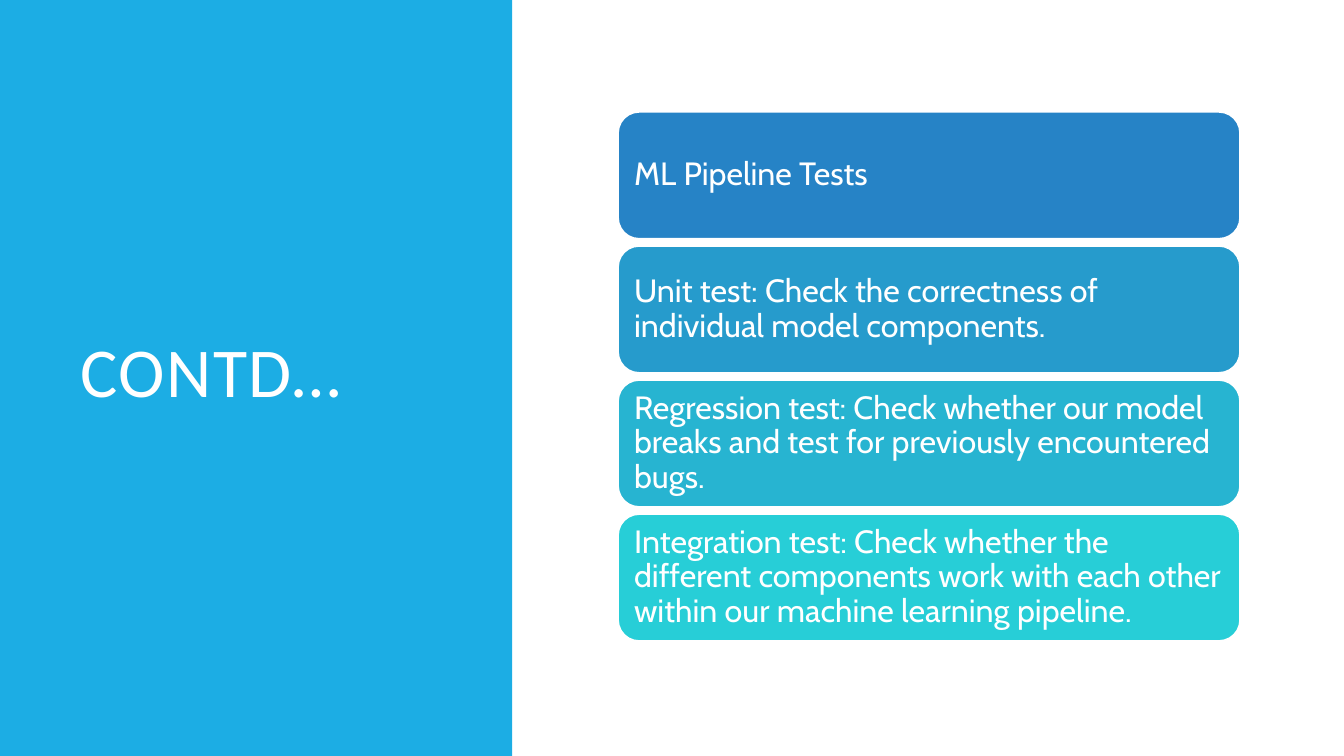
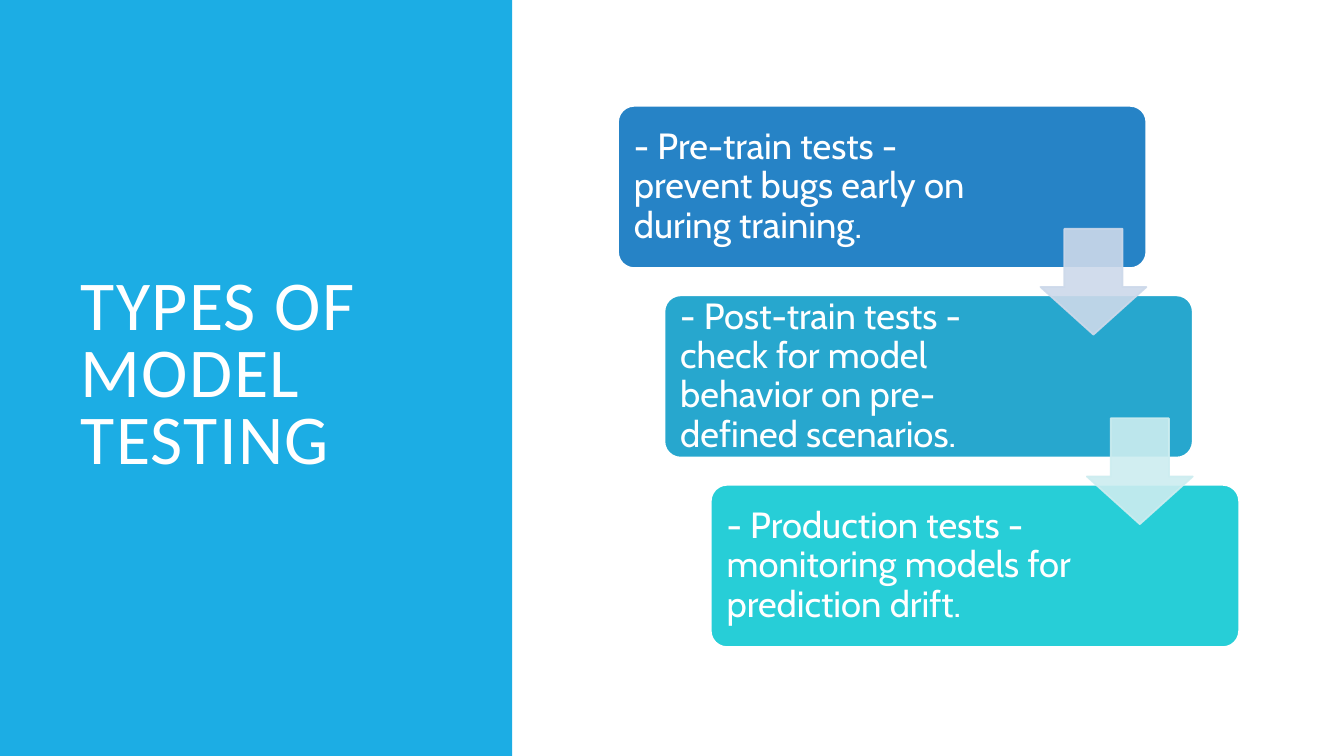
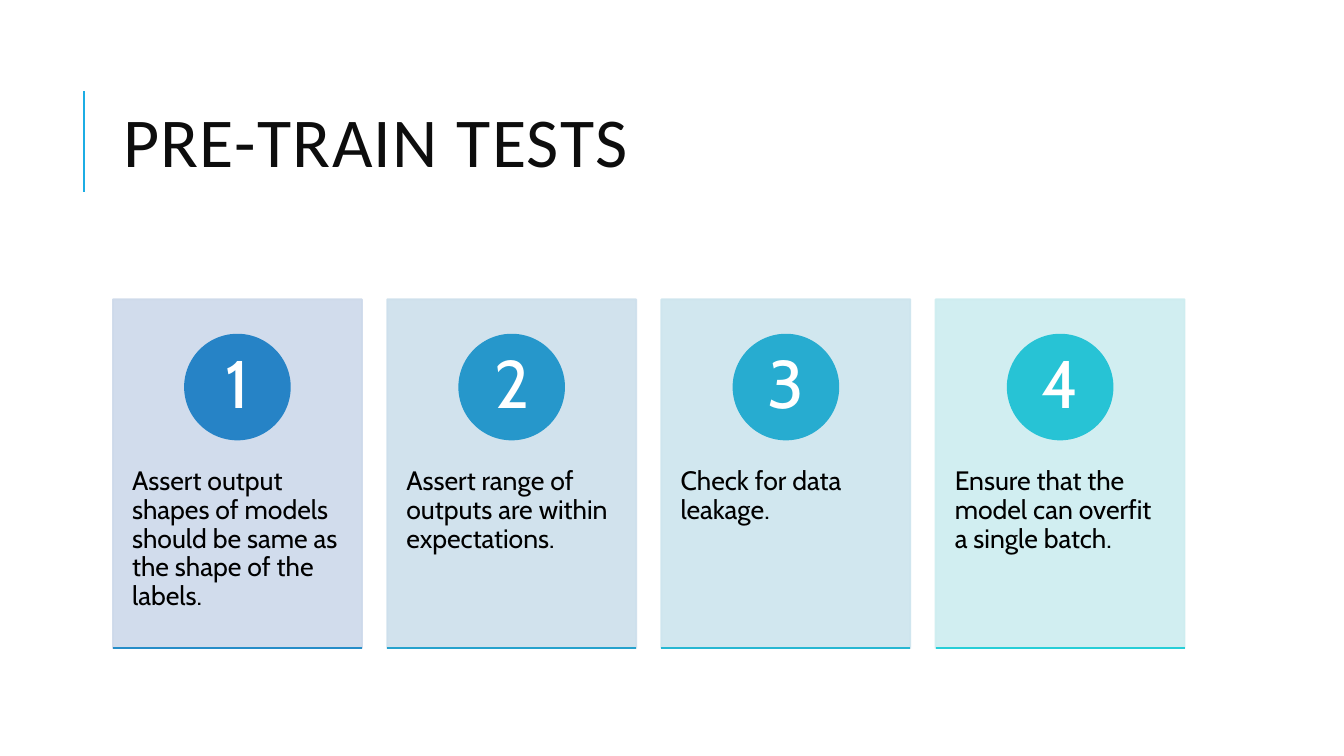
from dataclasses import dataclass

from lxml.etree import SubElement
from pptx import Presentation
from pptx.dml.color import RGBColor
from pptx.enum.shapes import MSO_CONNECTOR as Connector, MSO_SHAPE as Shape
from pptx.enum.text import MSO_ANCHOR as Anchor, MSO_AUTO_SIZE as AutoSize, PP_ALIGN as Align
from pptx.oxml.ns import qn
from pptx.util import Pt

EMU_PER_PX = 9144  # 100 px to the inch


@dataclass(frozen=True)
class Theme:
    accent: str = "1CADE4"
    white: str = "FFFFFF"
    black: str = "000000"
    title_ink: str = "0D0D0D"
    list_fills: tuple = ("2683C6", "269BCC", "27B4D1", "27CED7")
    stair_fills: tuple = ("2683C6", "27A7CE", "27CED7")
    arrow_fills: tuple = ("CDD9EA", "CDEDF0")
    card_fills: tuple = ("CDD9EA", "CDDFEC", "CDE5EE", "CDEDF0")
    badge_fills: tuple = ("2683C6", "2697CB", "27ACD0", "27C3D5")
    base_lines: tuple = ("268DC8", "26A2CD", "27B7D2", "27CED7")
    title_font: str = "Calibri"
    body_font: str = "Cabin"
    title_size: int = 50
    list_size: int = 23
    stair_size: int = 26
    card_size: int = 19
    badge_size: int = 48
    outline: float = 1.25
    rule: float = 1.5
    tint_alpha: int = 90


THEME = Theme()


def px(length):
    return round(length * EMU_PER_PX)


def rgb(color):
    return RGBColor.from_string(color)


# Elements
def add_text(frame, text, size, color, font=THEME.body_font, align=Align.LEFT,
             anchor=Anchor.MIDDLE, spacing=0.9, insets=(10, 5, 10, 5)):
    frame.word_wrap = True
    frame.auto_size = AutoSize.NONE
    frame.vertical_anchor = anchor
    (frame.margin_left, frame.margin_top,
     frame.margin_right, frame.margin_bottom) = map(px, insets)
    paragraph = frame.paragraphs[0]
    paragraph.alignment = align
    paragraph.line_spacing = spacing
    run = paragraph.add_run()
    run.text = text
    run.font.name = font
    run.font.size = Pt(size)
    run.font.color.rgb = rgb(color)
    return run


def add_block(slide, kind, box, fill, outline=None, alpha=None, adjust=()):
    block = slide.shapes.add_shape(kind, *map(px, box))
    block.shadow.inherit = False
    for index, value in enumerate(adjust):
        block.adjustments[index] = value
    block.fill.solid()
    block.fill.fore_color.rgb = rgb(fill)
    block.line.color.rgb = rgb(outline or fill)
    block.line.width = Pt(THEME.outline)
    if alpha:
        for color in list(block._element.spPr.iter(qn("a:srgbClr"))):
            SubElement(color, qn("a:alpha")).set("val", str(alpha * 1000))
    return block


def add_rule(slide, start, end, color, width):
    rule = slide.shapes.add_connector(Connector.STRAIGHT, *map(px, start + end))
    rule.line.color.rgb = rgb(color)
    rule.line.width = Pt(width)
    SubElement(rule._element.spPr, qn("a:effectLst"))


def add_titled_slide(deck, text, box, color):
    slide = deck.slides.add_slide(deck.slide_layouts[5])
    title = slide.shapes.title
    title.left, title.top, title.width, title.height = map(px, box)
    run = add_text(title.text_frame, text, THEME.title_size, color,
                   font=THEME.title_font, spacing=0.8)
    run._r.get_or_add_rPr().set("spc", "100")
    return slide


# Slide styles
def add_panel_slide(deck, text):
    slide = add_titled_slide(deck, text, (70, 70, 374, 609), THEME.white)
    panel = add_block(slide, Shape.RECTANGLE, (0, 0, 508, 750), THEME.accent)
    panel.line.fill.background()
    slide.shapes._spTree.insert(2, panel._element)  # behind the title
    return slide


def add_ruled_slide(deck, text):
    slide = add_titled_slide(deck, text, (112, 64, 1063, 164), THEME.title_ink)
    add_rule(slide, (83, 190), (83, 90), THEME.accent, THEME.rule)
    return slide


# Content
def add_list(slide, entries):
    for row, (text, fill) in enumerate(zip(entries, THEME.list_fills)):
        block = add_block(slide, Shape.ROUNDED_RECTANGLE,
                          (613, 111 + 133 * row, 617, 126), fill, THEME.white)
        add_text(block.text_frame, text, THEME.list_size, THEME.white,
                 insets=(10, 10, 10, 10))


def add_staircase(slide, steps):
    corners = [(613 + 46 * step, 105 + 188 * step) for step in range(len(steps))]
    for (left, top), (text, right_inset), fill in zip(corners, steps, THEME.stair_fills):
        block = add_block(slide, Shape.ROUNDED_RECTANGLE, (left, top, 524, 161),
                          fill, THEME.white, adjust=(0.1,))
        add_text(block.text_frame, text, THEME.stair_size, THEME.white,
                 insets=(11, 11, right_inset, 11))
    for (left, top), fill in zip(corners, THEME.arrow_fills):
        add_block(slide, Shape.DOWN_ARROW, (left + 419, top + 122, 105, 105), fill,
                  alpha=THEME.tint_alpha, adjust=(0.55, 0.45))


def add_cards(slide, entries):
    top, width, height, badge = 297, 247, 346, 104
    looks = zip(entries, THEME.card_fills, THEME.badge_fills, THEME.base_lines)
    for column, (text, card_fill, badge_fill, base_line) in enumerate(looks):
        left, bottom = 112 + 272 * column, top + height
        card = add_block(slide, Shape.RECTANGLE, (left, top, width, height),
                         card_fill, alpha=THEME.tint_alpha)
        add_text(card.text_frame, text, THEME.card_size, THEME.black,
                 anchor=Anchor.TOP, insets=(19, 167, 19, 43))
        number = add_block(slide, Shape.OVAL,
                           (left + (width - badge) / 2, top + 35, badge, badge), badge_fill)
        add_text(number.text_frame, str(column + 1), THEME.badge_size, THEME.white,
                 align=Align.CENTER, insets=(8, 1, 8, 1))
        add_rule(slide, (left, bottom), (left + width, bottom), base_line, THEME.outline)


def main():
    deck = Presentation()
    deck.slide_width, deck.slide_height = px(1333), px(750)

    add_list(add_panel_slide(deck, "CONTD…"), [
        "ML Pipeline Tests",
        "Unit test: Check the correctness of individual model components.",
        "Regression test: Check whether our model breaks and test for previously "
        "encountered bugs.",
        "Integration test: Check whether the different components work with each other "
        "within our machine learning pipeline.",
    ])

    # Each step has its text and the right inset that keeps it clear of the arrow
    add_staircase(add_panel_slide(deck, "TYPES OF MODEL TESTING"), [
        ("- Pre-train tests - prevent bugs early on during training.", 175),
        ("- Post-train tests - check for model behavior on pre-defined scenarios.", 161),
        ("- Production tests - monitoring models for prediction drift.", 161),
    ])

    add_cards(add_ruled_slide(deck, "PRE-TRAIN TESTS"), [
        "Assert output shapes of models should be same as the shape of the labels.",
        "Assert range of outputs are within expectations.",
        "Check for data leakage.",
        "Ensure that the model can overfit a single batch.",
    ])

    deck.save("out.pptx")


if __name__ == "__main__":
    main()
